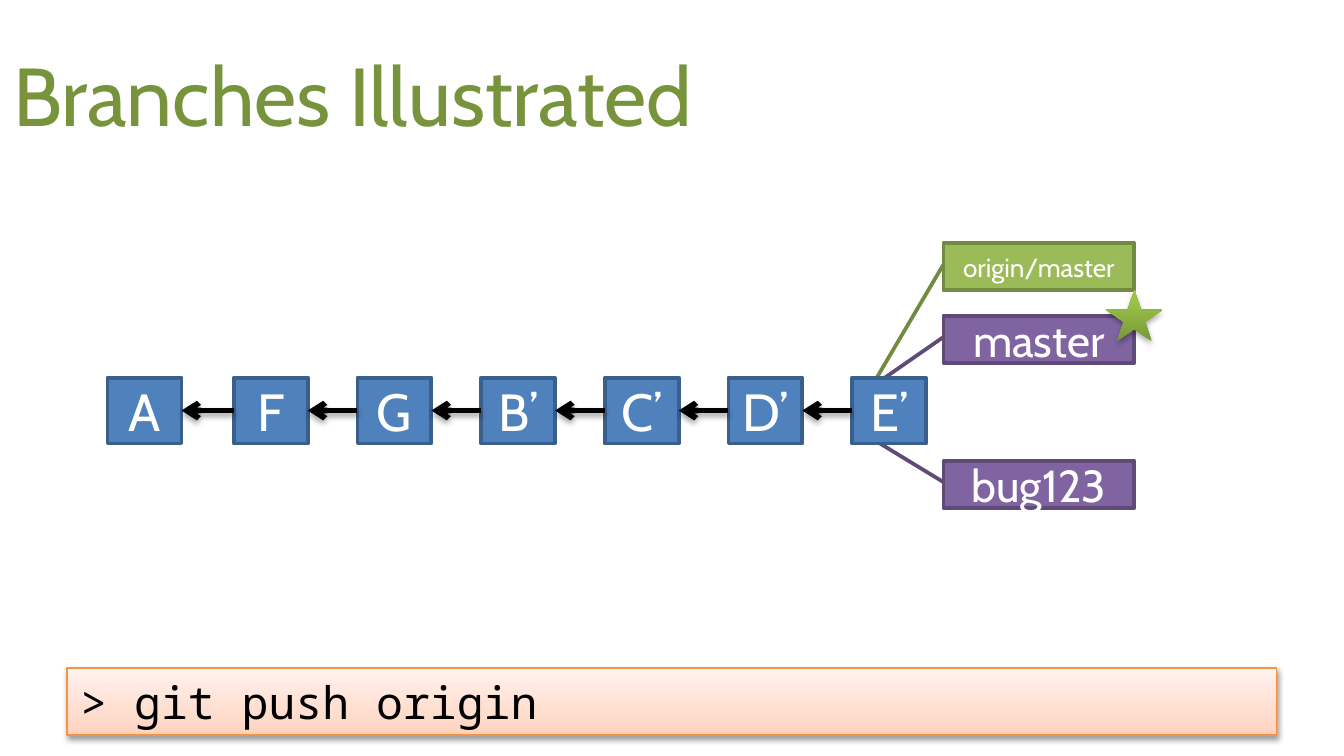
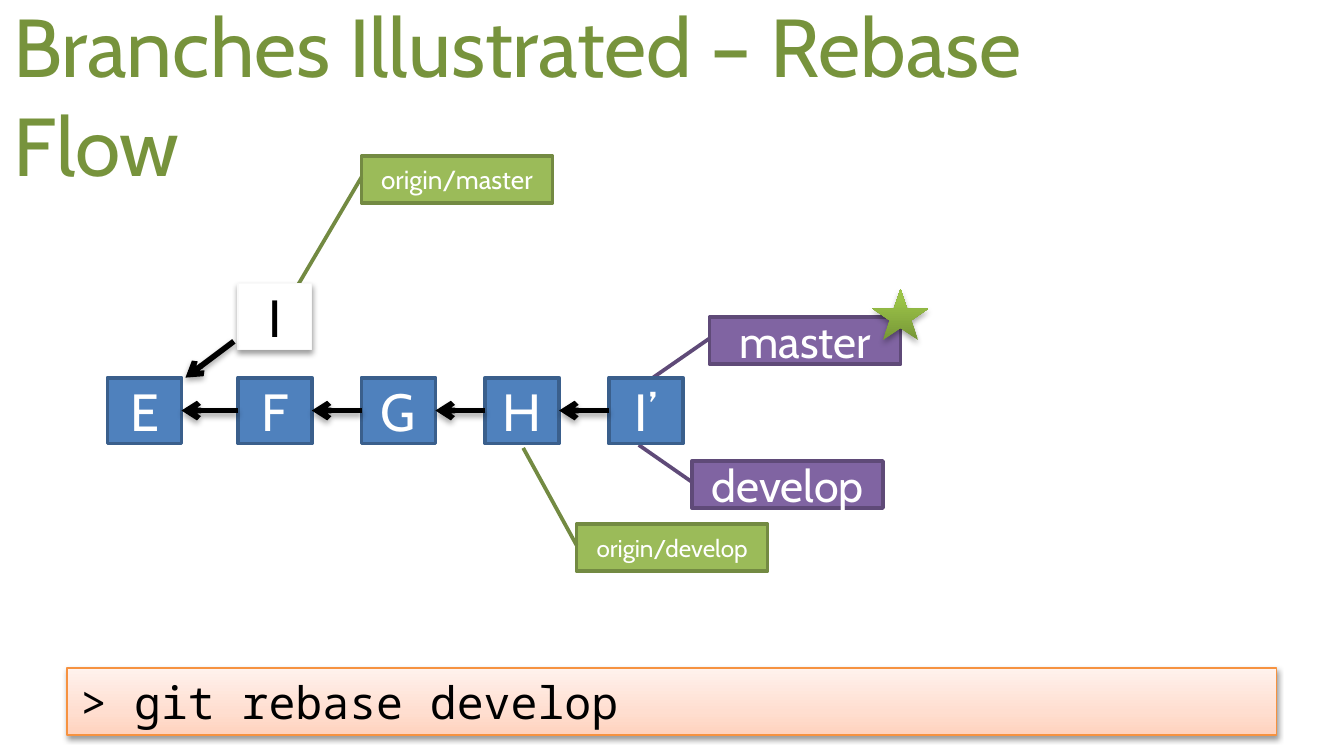
from pptx import Presentation
from pptx.dml.color import RGBColor as RGB
from pptx.enum.shapes import MSO_CONNECTOR as LINK, MSO_SHAPE as KIND
from pptx.enum.text import MSO_ANCHOR as ANCHOR, PP_ALIGN as ALIGN
from pptx.oxml import parse_xml
from pptx.oxml.ns import nsdecls, qn
from pptx.util import Inches, Pt
from copy import deepcopy
from dataclasses import dataclass


@dataclass(frozen=True)
class Theme:
    font: str = "Cabin"
    mono: str = "Noto Sans Mono"
    title: str = "77933C"
    black: str = "000000"
    white: str = "FFFFFF"
    # Each look is fill (one colour or gradient stops), line colour, line width
    commit: tuple = ("4F81BD", "3A5F8C", 2)
    pale: tuple = ("FFFFFF", "F9F9F9", 0.75)
    local: tuple = ("8064A2", "5F4A78", 2)
    remote: tuple = ("9BBB59", "738A42", 2)
    prompt: tuple = (((0, "FFD2BD"), (0.35, "FFDED0"), (1, "FFF2ED")), "F69240", 0.75)
    star: tuple = (((0, "779737"), (0.8, "9BC348"), (1, "9DC746")), None, 0)
    head: int = 44
    big: int = 28
    mid: int = 24


T = Theme()
WIDE = 10
HIGH = WIDE * 9 / 16
EDGE, PITCH = 0.8, 0.92          # first commit, then the step between the others
ROW, BOX_W, BOX_H = 2.81, 0.55, 0.49
TAG_W, TAG_H = 1.42, 0.35
STAR_W, STAR_H = 0.42, 0.38


def draw(slide, kind, place, look, text="", size=T.big, ink=T.white, font=T.font, shade=0):
    """Add a filled shape; shade is the shadow's opacity in percent, 0 for none."""
    shape = slide.shapes.add_shape(kind, *map(Inches, place))
    fill, edge, width = look
    if isinstance(fill, str):
        shape.fill.solid()
        shape.fill.fore_color.rgb = RGB.from_string(fill)
    else:
        shape.fill.gradient()
        shape.fill.gradient_angle = 90
        stops = shape._element.spPr.find(".//" + qn("a:gsLst"))
        stops.insert(1, deepcopy(stops[0]))
        for stop, (spot, tone) in zip(shape.fill.gradient_stops, fill):
            stop.position, stop.color.rgb = spot, RGB.from_string(tone)
    if edge:
        shape.line.color.rgb = RGB.from_string(edge)
        shape.line.width = Pt(width)
    else:
        shape.line.fill.background()
    cast(shape, shade)
    if text:
        para = shape.text_frame.paragraphs[0]
        para.text, para.alignment = text, ALIGN.CENTER
        face = para.runs[0].font
        face.name, face.size, face.color.rgb = font, Pt(size), RGB.from_string(ink)
    return shape


def cast(item, shade):
    """Replace the theme's shadow by a soft one below, or by none."""
    drop = (f'<a:outerShdw blurRad="40000" dist="23000" dir="5400000" rotWithShape="0">'
            f'<a:srgbClr val="000000"><a:alpha val="{shade * 1000}"/></a:srgbClr>'
            f'</a:outerShdw>') if shade else ""
    item._element.spPr.append(parse_xml(f'<a:effectLst {nsdecls("a")}>{drop}</a:effectLst>'))


# Tags: text, left, top, look, type size, pointer end as shares of height and width
pages = [
    dict(title="Branches Illustrated", cmd="> git push origin",
         chain=["A", "F", "G", "B’", "C’", "D’", "E’"], start=1.74, side=None,
         star=(8.23, 2.16),
         tags=[("master", 7.02, 2.35, T.local, T.mid, 1.38, -0.33),
               ("bug123", 7.02, 3.43, T.local, T.mid, -0.39, -0.34),
               ("origin/master", 7.02, 1.81, T.remote, 14, 2.86, -0.35)]),
    dict(title="Branches Illustrated – Rebase Flow", cmd="> git rebase develop",
         chain=["E", "F", "G", "H", "I’"], start=1.77, side="I",
         star=(6.49, 2.15),
         tags=[("origin/master", 2.69, 1.16, T.remote, 14, 2.86, -0.35),
               ("origin/develop", 4.29, 3.9, T.remote, 13, -1.62, -0.28),
               ("master", 5.28, 2.36, T.local, T.mid, 1.38, -0.33),
               ("develop", 5.15, 3.43, T.local, T.mid, -0.34, -0.28)]),
]

deck = Presentation()
deck.slide_width, deck.slide_height = Inches(WIDE), Inches(HIGH)

for page in pages:
    slide = deck.slides.add_slide(deck.slide_layouts[6])

    name = slide.shapes.add_textbox(0, Inches(0.23), Inches(0.9 * WIDE), Inches(0.94))
    frame = name.text_frame
    frame.word_wrap, frame.vertical_anchor = True, ANCHOR.MIDDLE
    frame.text = page["title"]
    face = frame.paragraphs[0].runs[0].font
    face.name, face.size, face.color.rgb = T.font, Pt(T.head), RGB.from_string(T.title)

    for text, left, top, look, size, down, along in page["tags"]:
        tag = draw(slide, KIND.LINE_CALLOUT_1, (left, top, TAG_W, TAG_H), look, text, size)
        for i, share in enumerate((0.45, 0, down, along)):
            tag.adjustments[i] = share

    boxes, links = [], []
    for i, text in enumerate(page["chain"]):
        left = page["start"] + (i - 1) * PITCH if i else EDGE
        boxes.append(draw(slide, KIND.RECTANGLE, (left, ROW, BOX_W, BOX_H), T.commit, text))
    for old, new in zip(boxes, boxes[1:]):
        link = slide.shapes.add_connector(LINK.STRAIGHT, 0, 0, 0, 0)
        link.begin_connect(new, 1)
        link.end_connect(old, 3)
        links.append(link)

    if page["side"]:
        place = (page["start"], ROW - 0.7, BOX_W, BOX_H)
        draw(slide, KIND.RECTANGLE, place, T.pale, page["side"], ink=T.black, shade=38)
        ends = (page["start"] - 0.03, 2.54, EDGE + BOX_W + 0.03, ROW)
        links.append(slide.shapes.add_connector(LINK.STRAIGHT, *map(Inches, ends)))

    for link in links:
        link.line.color.rgb = RGB.from_string(T.black)
        link.line.width = Pt(3)
        link.line._get_or_add_ln().append(
            parse_xml(f'<a:tailEnd {nsdecls("a")} type="arrow"/>'))
        cast(link, 35)

    draw(slide, KIND.STAR_5_POINT, (*page["star"], STAR_W, STAR_H), T.star, shade=35)

    place = (0.05 * WIDE, 4.97, 0.9 * WIDE, 0.5)
    bar = draw(slide, KIND.RECTANGLE, place, T.prompt, page["cmd"], T.mid, T.black, T.mono, 38)
    bar.text_frame.vertical_anchor = ANCHOR.TOP
    bar.text_frame.paragraphs[0].alignment = ALIGN.LEFT

deck.save("out.pptx")
